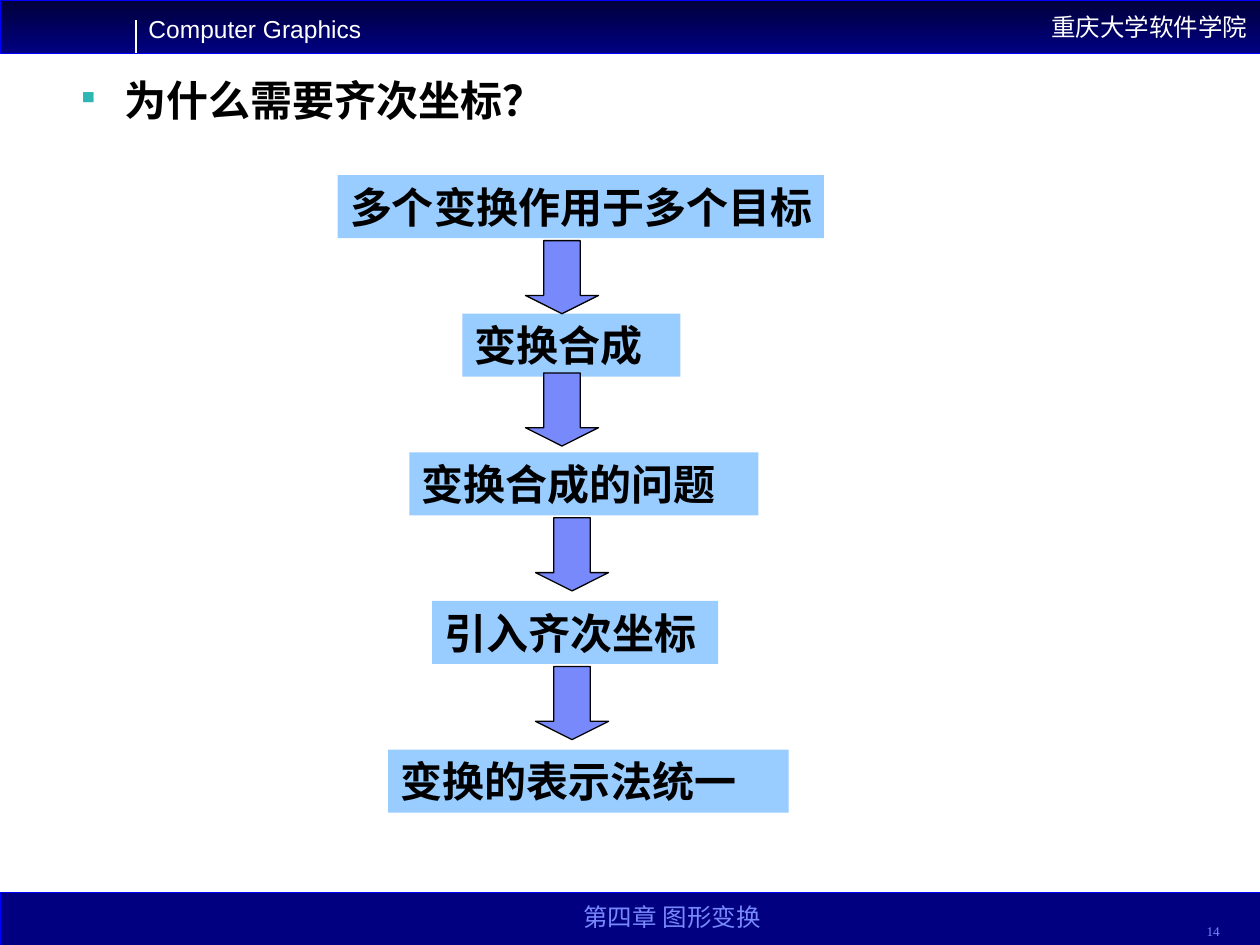
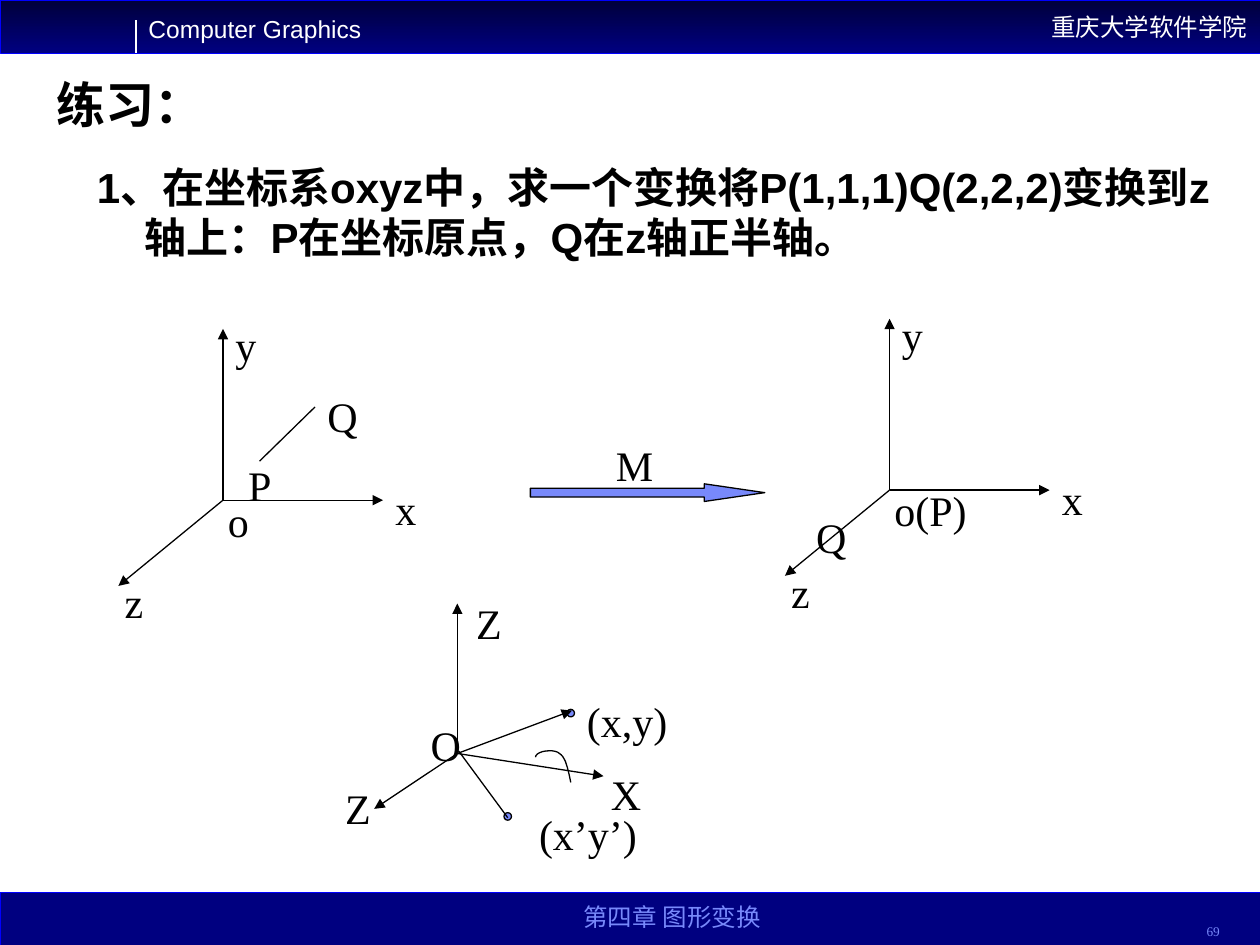
from dataclasses import dataclass, field
from typing import Any

from lxml import etree
from pptx import Presentation
from pptx import util as u
from pptx.dml.color import RGBColor
from pptx.enum import shapes, text
from pptx.oxml import ns

COLORS = {
    "black": "000000", "white": "FFFFFF", "night": "00003B", "navy": "000080",
    "edge": "0000FF", "violet": "7889FB", "sky": "99CCFF", "teal": "2DB6B3",
}
SERIF, SANS = "Times New Roman", "Arial"
LEFT, CENTER, RIGHT = text.PP_ALIGN.LEFT, text.PP_ALIGN.CENTER, text.PP_ALIGN.RIGHT
TOP, MIDDLE, BOTTOM = text.MSO_ANCHOR.TOP, text.MSO_ANCHOR.MIDDLE, text.MSO_ANCHOR.BOTTOM
PRESETS = shapes.MSO_SHAPE
UNITS_PER_INCH = 1000  # freeform points are whole numbers
Point = tuple[float, float]


@dataclass
class Style:
    size: float = 24
    name: str = SERIF
    color: str = "black"
    bold: bool = False
    align: Any = LEFT
    anchor: Any = TOP
    wrap: bool = True
    spacing: float = 1.0
    indent: float = 0
    bullet: str = ""
    frame: dict[str, Any] = field(default_factory=dict)


@dataclass
class Label:
    words: str
    left: float
    top: float
    width: float


@dataclass
class Line:
    start: Point
    end: Point
    arrow: bool = True
    color: str = "black"


@dataclass
class Block:
    preset: Any
    left: float
    top: float
    width: float
    height: float
    fill: str = "violet"
    edge: str = "black"
    edge_width: float = 0.75
    adjustments: tuple[float, ...] = ()


TIGHT = {"margin_right": u.Inches(0)}
HEADER = Style(14, SANS, "white", align=RIGHT, anchor=MIDDLE)
COURSE = Style(14, SANS, "white", wrap=False)
CHAPTER = Style(14, color="violet", align=CENTER, anchor=BOTTOM)
NUMBER = Style(7.6, color="violet", align=RIGHT, anchor=BOTTOM, spacing=0.8)
TITLE = Style(28, SANS, bold=True, anchor=BOTTOM, spacing=0.9)
QUESTION = Style(24, SANS, bold=True, spacing=0.9, indent=0.38, bullet="▪")
EXERCISE = Style(24, SANS, bold=True, indent=0.38)
STEP = Style(bold=True, frame=TIGHT)
MARK = Style(frame=TIGHT)


def rgb(name: str) -> RGBColor:
    return RGBColor.from_string(COLORS[name])


def set_all(target: Any, values: dict[str, Any]) -> None:
    for key, value in values.items():
        setattr(target, key, value)


# Drawing helpers
def write(box: Any, words: str, style: Style) -> None:
    set_all(box.text_frame, {
        "word_wrap": style.wrap, "vertical_anchor": style.anchor, **style.frame})
    para = box.text_frame.paragraphs[0]
    if style.indent:
        props = para._p.get_or_add_pPr()
        props.set("marL", str(u.Inches(style.indent)))
        props.set("indent", str(-u.Inches(style.indent)))
        if style.bullet:
            tint = etree.SubElement(props, ns.qn("a:buClr"))
            etree.SubElement(tint, ns.qn("a:srgbClr"), val=COLORS["teal"])
            etree.SubElement(props, ns.qn("a:buSzPct"), val="75000")
            etree.SubElement(props, ns.qn("a:buChar"), char=style.bullet)
    set_all(para, {"alignment": style.align, "line_spacing": style.spacing})
    span = para.add_run()
    span.text = words
    set_all(span.font, {
        "size": u.Pt(style.size), "name": style.name, "bold": style.bold})
    span.font.color.rgb = rgb(style.color)


def add_text(canvas: Any, words: str, style: Style, left: float, top: float,
             width: float, height: float) -> None:
    box = canvas.add_textbox(*map(u.Inches, (left, top, width, height)))
    write(box, words, style)


def add_labels(canvas: Any, labels: list[Label]) -> None:
    for label in labels:
        add_text(canvas, label.words, MARK, label.left, label.top, label.width, 0.5)


def add_block(canvas: Any, block: Block) -> Any:
    box = canvas.add_shape(block.preset, *map(
        u.Inches, (block.left, block.top, block.width, block.height)))
    box.shadow.inherit = False
    for index, value in enumerate(block.adjustments):
        box.adjustments[index] = value
    box.fill.solid()
    box.fill.fore_color.rgb = rgb(block.fill)
    if block.edge:
        box.line.color.rgb = rgb(block.edge)
        box.line.width = u.Pt(block.edge_width)
    else:
        box.line.fill.background()
    return box


def add_lines(canvas: Any, lines: list[Line]) -> None:
    for line in lines:
        connector = canvas.add_connector(
            shapes.MSO_CONNECTOR.STRAIGHT, *map(u.Inches, (*line.start, *line.end)))
        connector.line.color.rgb = rgb(line.color)
        connector.line.width = u.Pt(0.75)
        props = connector._element.spPr
        if line.arrow:
            etree.SubElement(props.find(ns.qn("a:ln")), ns.qn("a:tailEnd"), type="triangle")
        etree.SubElement(props, ns.qn("a:effectLst"))


def bezier(points: list[Point], steps: int = 10) -> list[Point]:
    curve = []
    for step in range(1, steps + 1):
        t = step / steps
        weights = ((1 - t) ** 3, 3 * t * (1 - t) ** 2, 3 * t * t * (1 - t), t ** 3)
        curve.append(tuple(sum(w * p[axis] for w, p in zip(weights, points))
                           for axis in (0, 1)))
    return curve


def add_curve(canvas: Any, points: list[Point]) -> None:
    start, *rest = [
        (round(x * UNITS_PER_INCH), round(y * UNITS_PER_INCH)) for x, y in points]
    builder = canvas.build_freeform(*start, scale=u.Inches(1) / UNITS_PER_INCH)
    builder.add_line_segments(rest, close=False)
    curve = builder.convert_to_shape()
    curve.shadow.inherit = False
    curve.fill.background()
    curve.line.color.rgb = rgb("black")
    curve.line.width = u.Pt(0.75)


# Bands, course name, chapter and page number on every slide
def add_page(deck: Any, number: int) -> Any:
    page = deck.slides.add_slide(deck.slide_layouts[6])
    canvas = page.shapes
    header, _ = [
        add_block(canvas, Block(PRESETS.RECTANGLE, 0, top, 10, 0.42, "navy", "edge", 0.25))
        for top in (0, 7.08)]
    header.fill.gradient()
    header.fill.gradient_angle = 270
    for stop, color in zip(header.fill.gradient_stops, ("night", "navy")):
        stop.color.rgb = rgb(color)
    write(header, "重庆大学软件学院", HEADER)
    add_text(canvas, "Computer Graphics", COURSE, 1.08, 0.06, 1.89, 0.34)
    add_lines(canvas, [Line((1.08, 0.16), (1.08, 0.42), False, "white")])
    add_text(canvas, "第四章 图形变换", CHAPTER, 3.75, 7.06, 3.17, 0.38)
    add_text(canvas, str(number), NUMBER, 8.78, 7.12, 1, 0.38)
    return canvas


# Slide: why homogeneous coordinates
def build_reasons(deck: Any) -> None:
    canvas = add_page(deck, 14)
    add_text(canvas, "为什么需要齐次坐标？", QUESTION, 0.51, 0.59, 8.5, 0.56)
    steps = [
        Label("多个变换作用于多个目标", 2.68, 1.39, 3.86),
        Label("变换合成", 3.67, 2.49, 1.73),
        Label("变换合成的问题", 3.25, 3.59, 2.77),
        Label("引入齐次坐标", 3.43, 4.77, 2.27),
        Label("变换的表示法统一", 3.08, 5.95, 3.18),
    ]
    for step in steps:
        box = add_block(canvas, Block(
            PRESETS.RECTANGLE, step.left, step.top, step.width, 0.5, "sky", ""))
        write(box, step.words, STEP)
    for left, top in ((4.17, 1.91), (4.17, 2.96), (4.25, 4.11), (4.25, 5.29)):
        add_block(canvas, Block(
            PRESETS.DOWN_ARROW, left, top, 0.58, 0.58, adjustments=(0.5, 0.25)))


def add_axes(canvas: Any, x: float, y: float) -> None:
    tips = ((1.27, 0), (0, -1.36), (-0.83, 0.68))
    add_lines(canvas, [Line((x, y), (x + dx, y + dy)) for dx, dy in tips])
    add_labels(canvas, [
        Label("x", x + 1.27, y - 0.18, 0.36),
        Label("y", x, y - 1.48, 0.36),
        Label("z", x - 0.88, y + 0.56, 0.35),
    ])


# Slide: exercise
def build_exercise(deck: Any) -> None:
    canvas = add_page(deck, 69)
    add_text(canvas, "练习：", TITLE, 0.35, 0.28, 8.5, 0.83)
    add_text(canvas, "1、在坐标系oxyz中，求一个变换将P(1,1,1)Q(2,2,2)变换到z轴上："
             "P在坐标原点，Q在z轴正半轴。", EXERCISE, 0.67, 1.23, 9.06, 5.35)
    before, after, mapping, rotation = [
        canvas.add_group_shape().shapes for _ in range(4)]

    # Segment PQ before and after the transformation
    add_axes(before, 1.77, 3.97)
    add_lines(before, [Line((2.06, 3.66), (2.5, 3.23), False)])
    add_labels(before, [
        Label("P", 1.87, 3.6, 0.38),
        Label("Q", 2.5, 3.05, 0.44),
        Label("o", 1.71, 3.88, 0.36),
    ])
    add_axes(after, 7.06, 3.89)
    add_labels(after, [Label("Q", 6.38, 4.01, 0.44), Label("o(P)", 7, 3.8, 0.77)])

    # Mapping arrow
    add_block(mapping, Block(
        PRESETS.RIGHT_ARROW, 4.21, 3.84, 1.86, 0.14, adjustments=(0.5, 3.42)))
    add_labels(mapping, [Label("M", 4.79, 3.44, 0.49)])

    # Rotation of a point
    origin = (3.63, 5.98)
    for left, top in ((4, 6.45), (4.5, 5.63)):
        add_block(rotation, Block(PRESETS.OVAL, left, top, 0.06, 0.06))
    tips = ((3.63, 4.79), (4.79, 6.16), (2.97, 6.42), (4.54, 5.64))
    add_lines(rotation, [Line(origin, tip) for tip in tips])
    add_lines(rotation, [Line((3.64, 5.96), (4.03, 6.49), False)])
    start, bend, finish = (4.53, 6.21), (4.44, 5.98), (4.25, 6.01)
    add_curve(rotation, [
        start,
        *bezier([start, (4.51, 6.11), (4.49, 6.01), bend]),
        *bezier([bend, (4.4, 5.94), (4.25, 5.96), finish]),
    ])
    add_labels(rotation, [
        Label("Z", 2.64, 6.16, 0.4),
        Label("X", 4.75, 6.05, 0.44),
        Label("Z", 3.68, 4.69, 0.4),
        Label("(x,y)", 4.56, 5.47, 0.84),
        Label("(x’y’)", 4.18, 6.37, 0.97),
        Label("O", 3.32, 5.66, 0.44),
    ])


def main() -> None:
    deck = Presentation()
    set_all(deck, {"slide_width": u.Inches(10), "slide_height": u.Inches(7.5)})
    build_reasons(deck)
    build_exercise(deck)
    deck.save("out.pptx")


if __name__ == "__main__":
    main()
